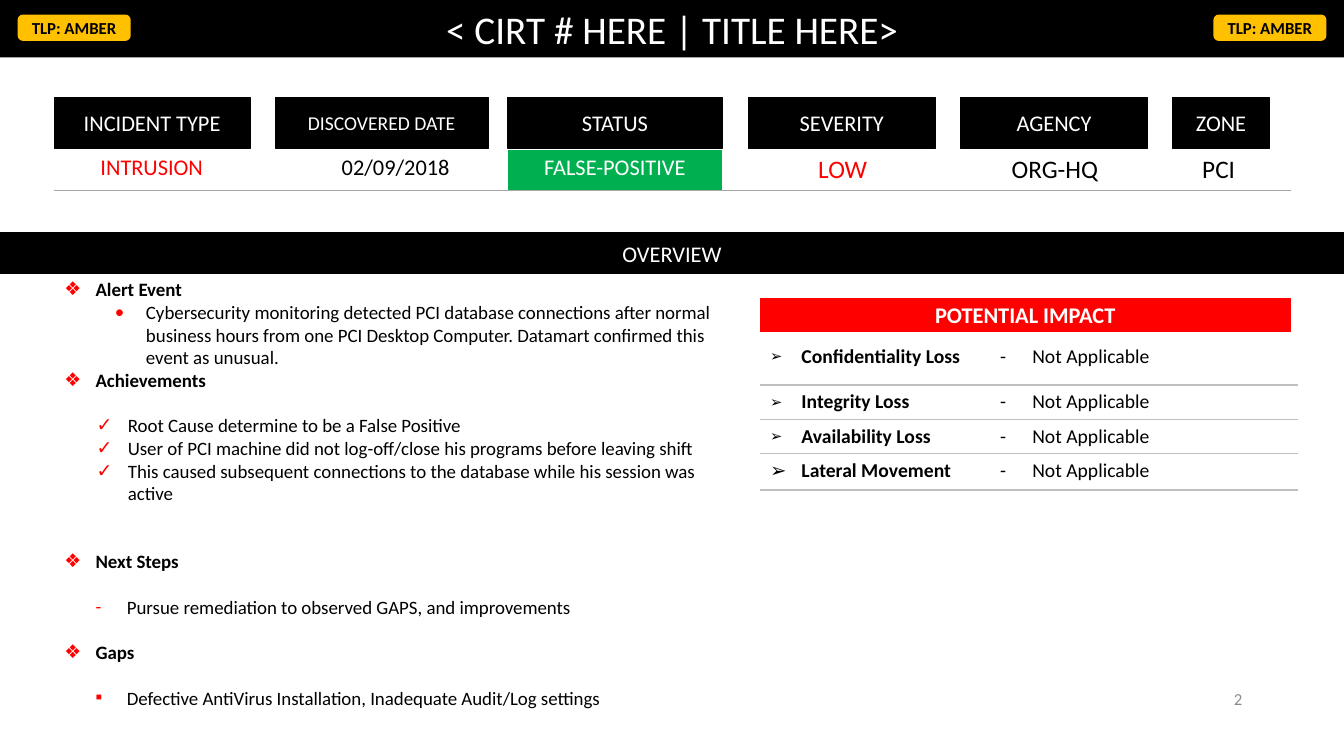
from lxml import etree
from pptx import Presentation
from pptx import util as u
from pptx.dml.color import RGBColor
from pptx.enum import shapes, text
from pptx.oxml import ns

SLIDE_WIDTH, SLIDE_HEIGHT = u.Inches(13.33), u.Inches(7.5)
FONT = "Calibri"
BLACK = RGBColor(0, 0, 0)
WHITE = RGBColor(255, 255, 255)
RED = RGBColor(255, 0, 0)
GREEN = RGBColor(0x00, 0xB0, 0x50)
AMBER = RGBColor(0xFF, 0xC0, 0x00)
GREY = RGBColor(0x8C, 0x8C, 0x8C)
RULE_GREY = RGBColor(0xA6, 0xA6, 0xA6)
PALE_GREY = RGBColor(0xBF, 0xBF, 0xBF)
LEFT, CENTER, RIGHT = text.PP_ALIGN.LEFT, text.PP_ALIGN.CENTER, text.PP_ALIGN.RIGHT
BODY_LINE = 16.2
HANG = 0.31
DASH_HANG = 0.32

# Horizontal and vertical lengths are percentages of the slide.
MARGIN, IMPACT_LEFT = 4.05, 56.56
# heading, left, width, size
FACT_HEADERS = [
    ("INCIDENT TYPE", MARGIN, 14.55, 16), ("DISCOVERED DATE", 20.48, 15.83, 14),
    ("STATUS", 37.73, 16.05, 16), ("SEVERITY", 55.66, 13.95, 16),
    ("AGENCY", 71.49, 13.88, 16), ("ZONE", 87.25, 7.2, 16),
]
# value, column width, size, colour, fill
FACTS = [
    ("INTRUSION", 14.48, 16, RED, WHITE), ("02/09/2018", 19.2, 16, BLACK, WHITE),
    ("FALSE-POSITIVE", 16.05, 16, WHITE, GREEN), ("LOW", 17.85, 18, RED, WHITE),
    ("ORG-HQ", 13.73, 18, BLACK, WHITE), ("PCI", 10.65, 18, BLACK, WHITE),
]
# wording, bullet, indent in inches, blank lines above
OVERVIEW = [
    ("Alert Event", "❖", 0.31, 0),
    ("Cybersecurity monitoring detected PCI database connections after normal business hours "
     "from one PCI Desktop Computer. Datamart confirmed this event as unusual.", "•", 0.81, 0),
    ("Achievements", "❖", 0.31, 0),
    ("Root Cause determine to be a False Positive", "✓", 0.63, 1),
    ("User of PCI machine did not log-off/close his programs before leaving shift", "✓", 0.63, 0),
    ("This caused subsequent connections to the database while his session was active",
     "✓", 0.63, 0),
    ("Next Steps", "❖", 0.31, 2),
    ("Pursue remediation to observed GAPS, and improvements", "-", 0.62, 1),
    ("Gaps", "❖", 0.31, 1),
    ("Defective AntiVirus Installation, Inadequate Audit/Log settings", "▪", 0.62, 1),
]
# loss, row height, bullet size in percent
IMPACTS = [
    ("Confidentiality Loss", 6, 75), ("Integrity Loss", 4.55, 75),
    ("Availability Loss", 4.55, 75), ("Lateral Movement", 4.8, 100),
]


def across(share):
    return int(SLIDE_WIDTH * share / 100)


def down(share):
    return int(SLIDE_HEIGHT * share / 100)


def area(left, top, width, height):
    return across(left), down(top), across(width), down(height)


def write(paragraph, wording, size=16, color=BLACK, bold=False, align=LEFT, space=0):
    paragraph.alignment = align
    paragraph.space_before = u.Pt(space)
    run = paragraph.add_run()
    run.text = wording
    run.font.name, run.font.size, run.font.bold = FONT, u.Pt(size), bold
    run.font.color.rgb = color


def indent(paragraph, margin, hang):
    properties = paragraph._p.get_or_add_pPr()
    properties.set("marL", str(u.Inches(margin)))
    properties.set("indent", str(-u.Inches(hang)))
    return properties


def bullet(paragraph, sign, margin, color, share=100):
    properties = indent(paragraph, margin, HANG)
    tint = etree.SubElement(properties, ns.qn("a:buClr"))
    etree.SubElement(tint, ns.qn("a:srgbClr"), val=str(color))
    etree.SubElement(properties, ns.qn("a:buSzPct"), val=str(share * 1000))
    etree.SubElement(properties, ns.qn("a:buFont"), typeface=FONT)
    etree.SubElement(properties, ns.qn("a:buChar"), char=sign)


def bar(slide, place, wording, fill, line=0.5, kind=shapes.MSO_SHAPE.RECTANGLE, **format):
    box = slide.shapes.add_shape(kind, *area(*place))
    box.shadow.inherit = False
    box.fill.solid()
    box.fill.fore_color.rgb = fill
    box.line.color.rgb = fill
    box.line.width = u.Pt(line)
    box.text_frame.vertical_anchor = text.MSO_ANCHOR.MIDDLE
    write(box.text_frame.paragraphs[0], wording, align=CENTER, **format)


def text_area(slide, place):
    frame = slide.shapes.add_textbox(*area(*place)).text_frame
    frame.word_wrap = True
    return frame


def grid(slide, left, top, widths, heights):
    frame = slide.shapes.add_table(len(heights), len(widths),
                                   *area(left, top, sum(widths), sum(heights)))
    table = frame.table
    table.first_row = table.horz_banding = False
    for column, width in zip(table.columns, widths):
        column.width = across(width)
    for row, height in zip(table.rows, heights):
        row.height = down(height)
    return table


def dress(cell, fill, rules):
    """Fill a cell and draw its rules, given as (edge tag, colour, points)."""
    cell.fill.solid()
    cell.fill.fore_color.rgb = fill
    properties = cell._tc.get_or_add_tcPr()
    for position, (edge, color, points) in enumerate(rules):
        line = etree.Element(ns.qn(edge), w=str(u.Pt(points)))
        solid = etree.SubElement(line, ns.qn("a:solidFill"))
        etree.SubElement(solid, ns.qn("a:srgbClr"), val=str(color))
        properties.insert(position, line)


def add_title(slide):
    title = slide.shapes.title
    title.left, title.top, title.width, title.height = area(0, 0, 100, 7.6)
    title.fill.solid()
    title.fill.fore_color.rgb = BLACK
    title.text_frame.vertical_anchor = text.MSO_ANCHOR.MIDDLE
    write(title.text_frame.paragraphs[0], "< CIRT # HERE | TITLE HERE>",
          size=28, color=WHITE, align=CENTER)
    for left in (1.43, 90.4):
        bar(slide, (left, 2.13, 8.18, 3.07), "TLP: AMBER", AMBER, line=2.25,
            kind=shapes.MSO_SHAPE.ROUNDED_RECTANGLE, size=12, bold=True)


def add_facts(slide):
    for heading, left, width, size in FACT_HEADERS:
        bar(slide, (left, 12.93, width, 6.67), heading, BLACK, size=size, color=WHITE)
    table = grid(slide, MARGIN, 19.73, [fact[1] for fact in FACTS], [5.2])
    for cell, (value, _, size, color, fill) in zip(table.rows[0].cells, FACTS):
        dress(cell, fill, [("a:lnT", WHITE, 1), ("a:lnB", RULE_GREY, 0.5)])
        write(cell.text_frame.paragraphs[0], value, size=size, color=color, align=CENTER)
    table.cell(0, 1).margin_left = u.Inches(0.45)


def add_overview(slide):
    bar(slide, (0, 30.8, 100, 5.4), "OVERVIEW", BLACK, color=WHITE)
    frame = text_area(slide, (MARGIN, 36.13, 50.71, 58.93))
    for number, (wording, sign, margin, blanks) in enumerate(OVERVIEW):
        paragraph = frame.add_paragraph() if number else frame.paragraphs[0]
        write(paragraph, wording, size=13.5, bold=sign == "❖", space=blanks * BODY_LINE)
        bullet(paragraph, sign, margin, RED)


def add_impacts(slide):
    bar(slide, (IMPACT_LEFT, 39.47, 39.46, 4.4), "POTENTIAL IMPACT", RED,
        color=WHITE, bold=True)
    table = grid(slide, IMPACT_LEFT, 44.93, [17.1, 22.88], [impact[1] for impact in IMPACTS])
    top_color = WHITE
    for row, (loss, _, share) in zip(table.rows, IMPACTS):
        for cell in row.cells:
            dress(cell, WHITE, [("a:lnT", top_color, 1), ("a:lnB", PALE_GREY, 1)])
        top_color = PALE_GREY
        name, rating = (cell.text_frame.paragraphs[0] for cell in row.cells)
        write(name, loss, size=14, bold=True)
        bullet(name, "➢", HANG, BLACK, share)
        write(rating, "-\tNot Applicable", size=14)
        indent(rating, DASH_HANG, DASH_HANG)


def main():
    deck = Presentation()
    deck.slide_width, deck.slide_height = SLIDE_WIDTH, SLIDE_HEIGHT
    slide = deck.slides.add_slide(deck.slide_layouts.get_by_name("Title Only"))
    add_title(slide)
    add_facts(slide)
    add_overview(slide)
    add_impacts(slide)
    page = text_area(slide, (70.67, 89.73, 22.5, 5.33))
    page.vertical_anchor = text.MSO_ANCHOR.MIDDLE
    write(page.paragraphs[0], "2", size=12, color=GREY, align=RIGHT)
    deck.save("out.pptx")


if __name__ == "__main__":
    main()
